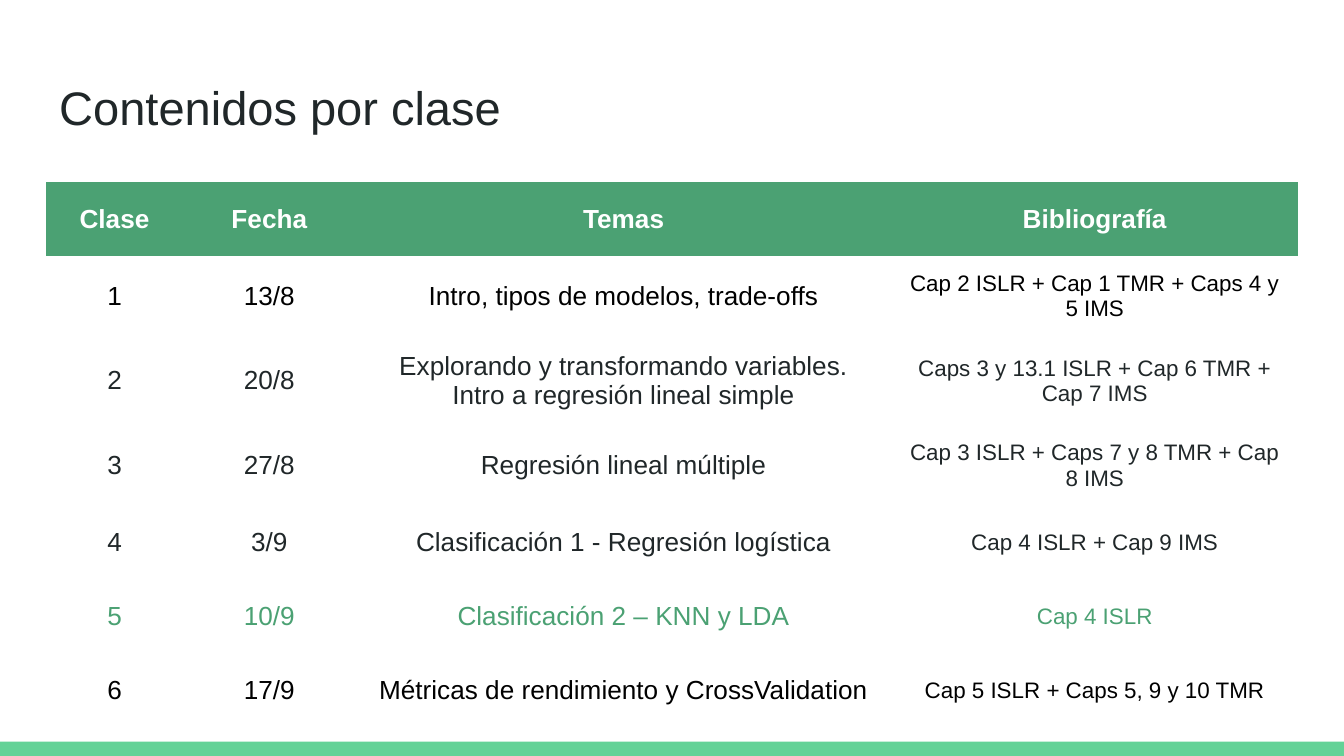
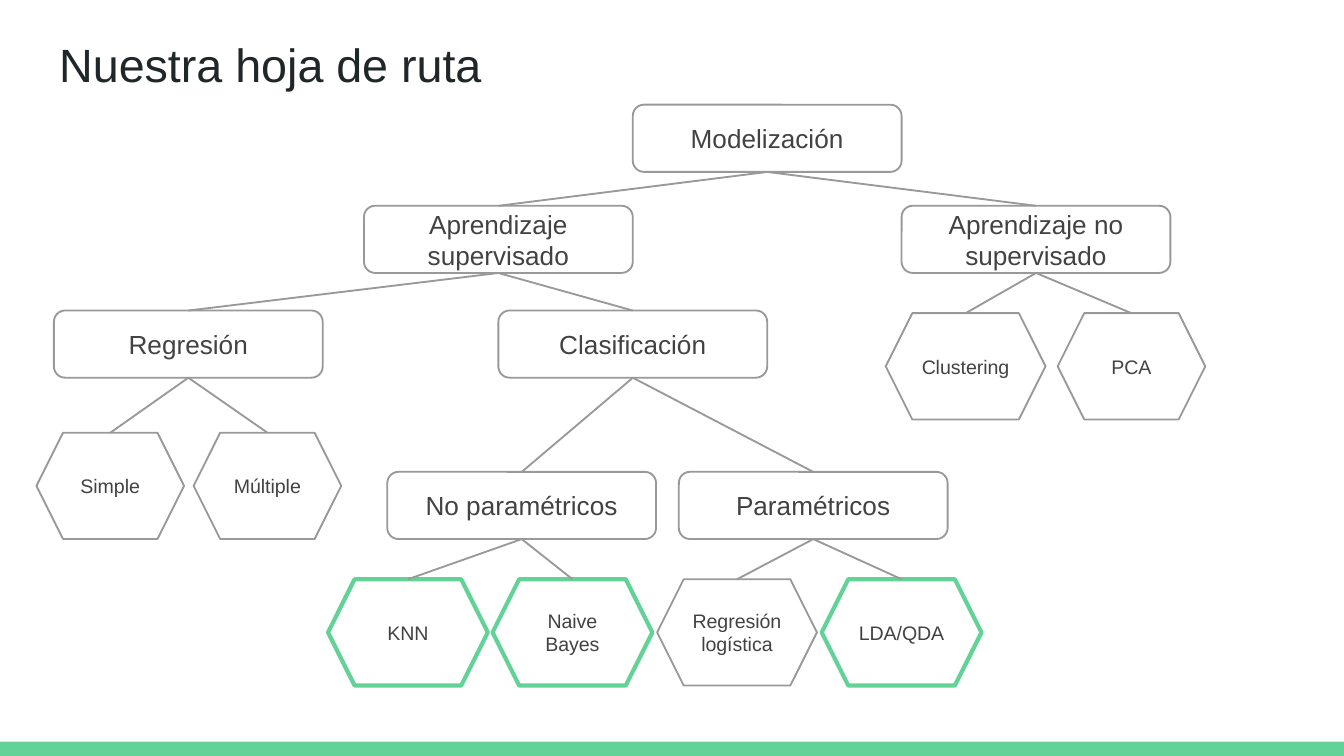
from dataclasses import dataclass
from typing import Optional

from lxml.etree import SubElement
from pptx import Presentation
from pptx.dml.color import RGBColor
from pptx.enum.shapes import MSO_CONNECTOR, MSO_SHAPE
from pptx.enum.text import MSO_ANCHOR, PP_ALIGN
from pptx.oxml.ns import qn
from pptx.shapes.autoshape import Shape
from pptx.slide import Slide
from pptx.util import Cm, Pt

FONT = "Arial"
COLORS = {
    "band": "63D297",
    "header": "4BA173",
    "ink": "202729",
    "black": "000000",
    "white": "FFFFFF",
    "line": "999999",
    "node": "424242",
}
PAGE_WIDTH, PAGE_HEIGHT = 25.4, 14.29
BAND_HEIGHT = 0.27
MARGIN = 0.87
PADDING = 0.25
NO_STYLE_NO_GRID = "{2D5ABB26-0587-4C30-8999-92F81FD0307C}"


@dataclass(frozen=True)
class ClassRow:
    number: str
    date: str
    topics: str
    reading: str
    color: str = "ink"
    bold: bool = False
    fill: Optional[str] = None
    reading_size: float = 12


@dataclass(frozen=True)
class Node:
    label: str
    left: float
    top: float
    children: tuple["Node", ...] = ()
    width: float = 5.08
    height: float = 1.27
    preset: MSO_SHAPE = MSO_SHAPE.ROUNDED_RECTANGLE
    size: float = 14
    line: str = "line"
    weight: float = 1


def leaf(label: str, left: float, top: float, width: float = 3.02, current: bool = False) -> Node:
    """Describe a hexagon; the current topics get a thick green outline."""
    return Node(label, left, top, width=width, height=2.01, preset=MSO_SHAPE.HEXAGON, size=10.5,
                line="band" if current else "line", weight=2.25 if current else 1)


TITLE_SIZES = {"classes": 25.2, "roadmap": 25}
COLUMN_WIDTHS = (2.59, 3.26, 10.13, 7.68)
ROW_HEIGHT = 1.4
CLASS_ROWS = (
    ClassRow("Clase", "Fecha", "Temas", "Bibliografía", "white", True, "header", 14),
    ClassRow("1", "13/8", "Intro, tipos de modelos, trade-offs",
             "Cap 2 ISLR + Cap 1 TMR + Caps 4 y 5 IMS", "black"),
    ClassRow("2", "20/8", "Explorando y transformando variables.\nIntro a regresión lineal simple",
             "Caps 3 y 13.1 ISLR + Cap 6 TMR + Cap 7 IMS"),
    ClassRow("3", "27/8", "Regresión lineal múltiple",
             "Cap 3 ISLR + Caps 7 y 8 TMR + Cap 8 IMS"),
    ClassRow("4", "3/9", "Clasificación 1 - Regresión logística", "Cap 4 ISLR + Cap 9 IMS"),
    ClassRow("5", "10/9", "Clasificación 2 – KNN y LDA", "Cap 4 ISLR", "header"),
    ClassRow("6", "17/9", "Métricas de rendimiento y CrossValidation",
             "Cap 5 ISLR + Caps 5, 9 y 10 TMR", "black"),
)

METHOD_TOP = 10.95
KNN, BAYES, LOGISTIC, LDA = (
    leaf(label, 6.2 + 3.11 * index, METHOD_TOP, current=current)
    for index, (label, current) in enumerate((
        ("KNN", True), ("Naive Bayes", True), ("Regresión logística", False), ("LDA/QDA", True),
    ))
)
ROADMAP = Node("Modelización", 11.96, 1.98, (
    Node("Aprendizaje supervisado", 6.88, 3.89, (
        Node("Regresión", 1.02, 5.87, (
            leaf("Simple", 0.69, 8.18, 2.79),
            leaf("Múltiple", 3.66, 8.18, 2.79),
        )),
        Node("Clasificación", 9.42, 5.87, (
            Node("No paramétricos", 7.32, 8.92, (KNN, BAYES)),
            Node("Paramétricos", 12.83, 8.92, (LOGISTIC, LDA)),
        )),
    )),
    Node("Aprendizaje no supervisado", 17.04, 3.89, (
        leaf("Clustering", 16.74, 5.92),
        leaf("PCA", 19.99, 5.92, 2.79),
    )),
))


def rgb(name: str) -> RGBColor:
    return RGBColor.from_string(COLORS[name])


def format_text(frame, size: float, color: str, align: PP_ALIGN, bold: bool = False) -> None:
    for para in frame.paragraphs:
        para.alignment = align
        for span in para.runs:
            span.font.name = FONT
            span.font.size = Pt(size)
            span.font.bold = bold
            span.font.color.rgb = rgb(color)


def set_margins(target, horizontal: float, vertical: float) -> None:
    target.margin_left = target.margin_right = Cm(horizontal)
    target.margin_top = target.margin_bottom = Cm(vertical)


def add_page(deck, title: str, top: float, size: float) -> Slide:
    """Add a blank slide with the bottom band and its title."""
    page = deck.slides.add_slide(deck.slide_layouts[6])
    band = page.shapes.add_shape(MSO_SHAPE.RECTANGLE, 0, Cm(PAGE_HEIGHT - BAND_HEIGHT),
                                 Cm(PAGE_WIDTH), Cm(BAND_HEIGHT))
    band.shadow.inherit = False
    band.fill.solid()
    band.fill.fore_color.rgb = rgb("band")
    band.line.fill.background()

    box = page.shapes.add_textbox(Cm(MARGIN), Cm(top), Cm(PAGE_WIDTH - 2 * MARGIN), Cm(1.6))
    frame = box.text_frame
    frame.word_wrap = True
    set_margins(frame, PADDING, PADDING)
    frame.text = title
    format_text(frame, size, "ink", PP_ALIGN.LEFT)
    return page


def add_class_table(page: Slide) -> None:
    holder = page.shapes.add_table(len(CLASS_ROWS), len(COLUMN_WIDTHS), Cm(MARGIN), Cm(3.44),
                                   Cm(sum(COLUMN_WIDTHS)), Cm(ROW_HEIGHT * len(CLASS_ROWS)))
    table = holder.table
    table.horz_banding = False
    for style in holder.element.iter(qn("a:tableStyleId")):
        style.text = NO_STYLE_NO_GRID
    for column, width in zip(table.columns, COLUMN_WIDTHS):
        column.width = Cm(width)
    for row, entry in zip(table.rows, CLASS_ROWS):
        row.height = Cm(ROW_HEIGHT)
        texts = (
            (entry.number, 14), (entry.date, 14), (entry.topics, 14),
            (entry.reading, entry.reading_size),
        )
        for cell, (text, size) in zip(row.cells, texts):
            cell.vertical_anchor = MSO_ANCHOR.MIDDLE
            set_margins(cell, PADDING, PADDING)
            cell.text_frame.text = text
            format_text(cell.text_frame, size, entry.color, PP_ALIGN.CENTER, entry.bold)
            if entry.fill:
                cell.fill.solid()
                cell.fill.fore_color.rgb = rgb(entry.fill)
            else:
                cell.fill.background()


def add_node(page: Slide, node: Node) -> Shape:
    shape = page.shapes.add_shape(node.preset, Cm(node.left), Cm(node.top),
                                  Cm(node.width), Cm(node.height))
    shape.shadow.inherit = False
    shape.fill.background()
    shape.line.color.rgb = rgb(node.line)
    shape.line.width = Pt(node.weight)
    frame = shape.text_frame
    frame.word_wrap = True
    frame.vertical_anchor = MSO_ANCHOR.MIDDLE
    set_margins(frame, 0.13, 0.13)
    frame.text = node.label
    format_text(frame, node.size, "node", PP_ALIGN.CENTER)
    return shape


def add_link(page: Slide, parent: Shape, child: Shape) -> None:
    """Join the bottom of the parent to the top of the child."""
    link = page.shapes.add_connector(
        MSO_CONNECTOR.STRAIGHT,
        parent.left + parent.width // 2, parent.top + parent.height,
        child.left + child.width // 2, child.top,
    )
    link.begin_connect(parent, 2)
    if child.auto_shape_type == MSO_SHAPE.ROUNDED_RECTANGLE:
        link.end_connect(child, 0)
    link.line.color.rgb = rgb("line")
    link.line.width = Pt(1)
    SubElement(link.element.spPr, qn("a:effectLst"))


def add_tree(page: Slide, node: Node) -> Shape:
    """Draw a node with everything below it and return its shape."""
    shape = add_node(page, node)
    for child in node.children:
        add_link(page, shape, add_tree(page, child))
    return shape


def main() -> None:
    deck = Presentation()
    deck.slide_width, deck.slide_height = Cm(PAGE_WIDTH), Cm(PAGE_HEIGHT)
    add_class_table(add_page(deck, "Contenidos por clase", 1.24, TITLE_SIZES["classes"]))
    add_tree(add_page(deck, "Nuestra hoja de ruta", 0.43, TITLE_SIZES["roadmap"]), ROADMAP)
    deck.save("out.pptx")


if __name__ == "__main__":
    main()
